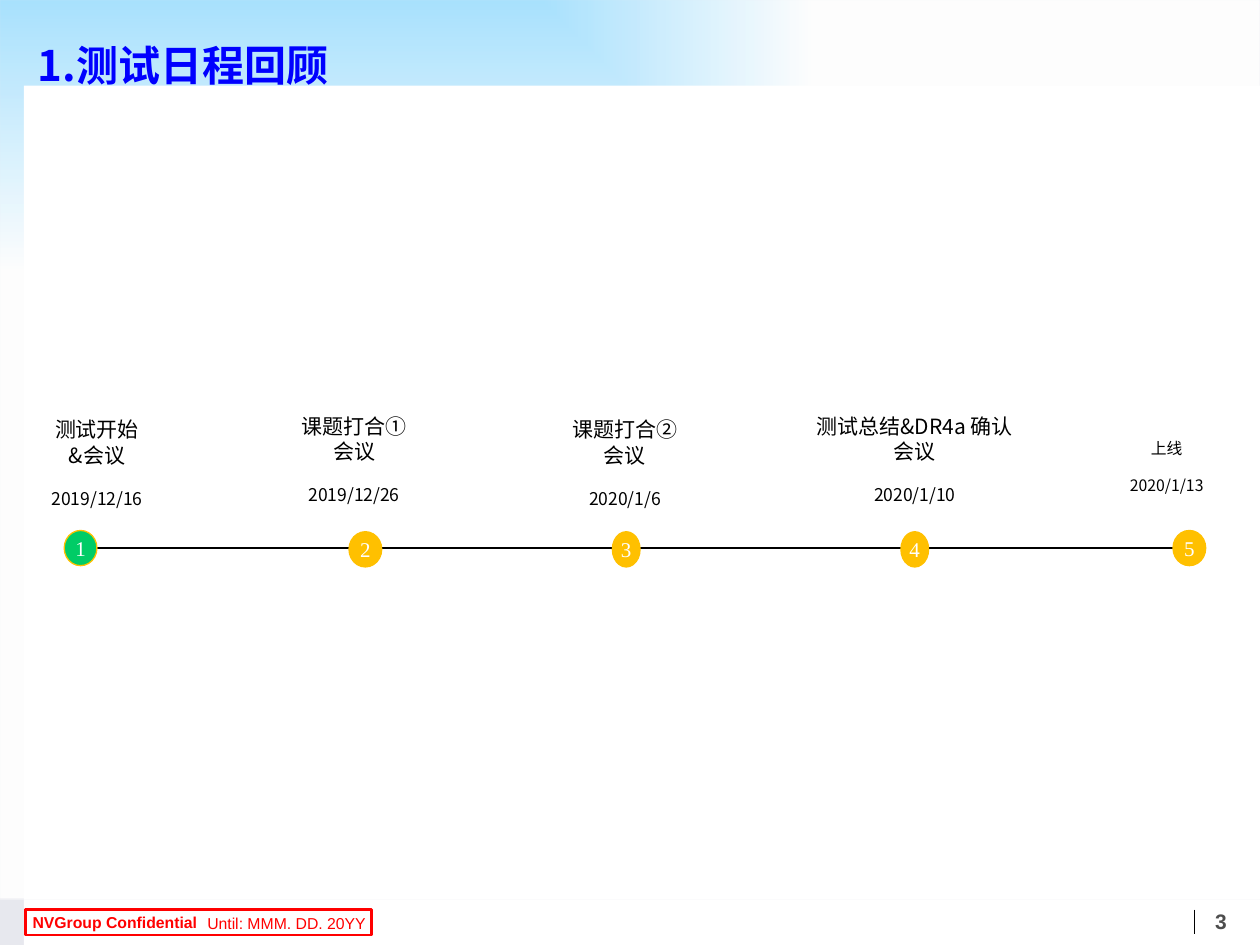
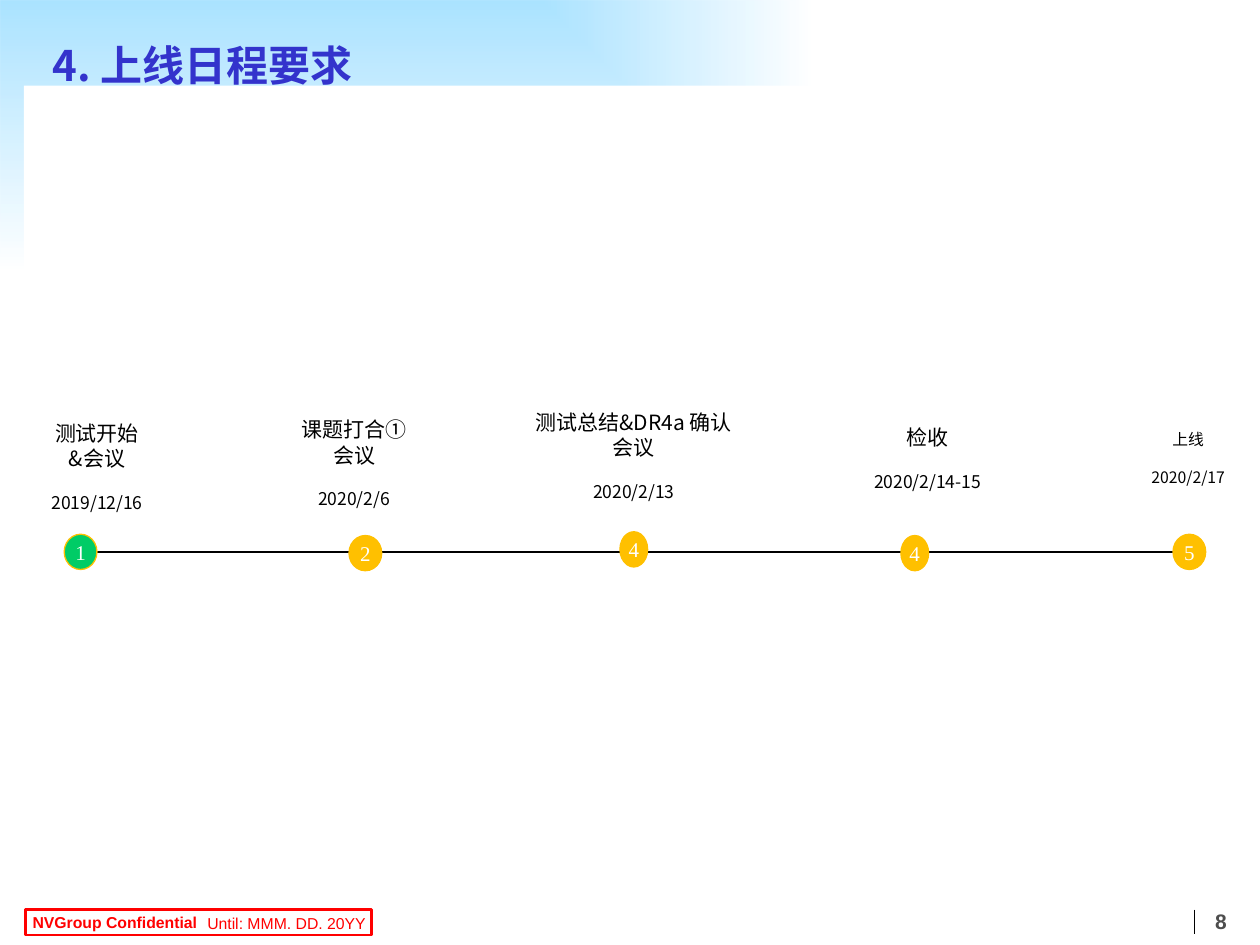
from dataclasses import dataclass

from lxml import etree
from pptx import Presentation
from pptx.dml.color import RGBColor
from pptx.enum.shapes import MSO_CONNECTOR, MSO_SHAPE
from pptx.enum.text import MSO_ANCHOR, MSO_AUTO_SIZE, PP_ALIGN
from pptx.oxml.ns import qn
from pptx.util import Inches, Pt

RECT, NODE = MSO_SHAPE.RECTANGLE, MSO_SHAPE.FLOWCHART_CONNECTOR
STRAIGHT = MSO_CONNECTOR.STRAIGHT
LEFT, CENTER, RIGHT = PP_ALIGN.LEFT, PP_ALIGN.CENTER, PP_ALIGN.RIGHT
TOP, MIDDLE = MSO_ANCHOR.TOP, MSO_ANCHOR.MIDDLE


@dataclass(frozen=True)
class Theme:
    white: str = "FFFFFF"
    black: str = "000000"
    sky: str = "66CCFF"
    red: str = "FF0000"
    grey: str = "4D4D4D"
    amber: str = "FFC000"
    green: str = "00CC66"
    cjk: str = "Noto Sans CJK SC"
    sans: str = "Arial"
    serif: str = "Times New Roman"
    title_pt: int = 24
    label_pt: int = 12
    date_pt: int = 10
    small_pt: int = 9
    leading: float = 1.2


T = Theme()

# Content: milestones are (number, node centre x, node width, node top,
#                          label centre x, label top, label lines, date)
SLIDES = [
    dict(title="1.测试日程回顾", title_x=0, title_color="0000FF", page="3",
         background="E7E8EE", line_y=4.35, milestones=[
             ("1", 0.64, 0.26, 4.21, 0.77, 3.26, ["测试开始", "&会议"], "2019/12/16"),
             ("2", 2.90, 0.26, 4.22, 2.81, 3.23, ["课题打合①", "会议"], "2019/12/26"),
             ("3", 4.97, 0.22, 4.22, 4.96, 3.26, ["课题打合②", "会议"], "2020/1/6"),
             ("4", 7.26, 0.22, 4.22, 7.26, 3.23, ["测试总结&DR4a 确认", "会议"], "2020/1/10"),
             ("5", 9.44, 0.26, 4.21, 9.26, 3.43, ["上线"], "2020/1/13")]),
    dict(title="4. 上线日程要求", title_x=0.12, title_color="3333CC", page="8",
         background="FFFFFF", line_y=4.38, milestones=[
             ("1", 0.64, 0.26, 4.24, 0.77, 3.29, ["测试开始", "&会议"], "2019/12/16"),
             ("2", 2.90, 0.26, 4.25, 2.81, 3.26, ["课题打合①", "会议"], "2020/2/6"),
             ("4", 5.03, 0.22, 4.22, 5.03, 3.20, ["测试总结&DR4a 确认", "会议"], "2020/2/13"),
             ("4", 7.26, 0.22, 4.25, 7.36, 3.32, ["检收"], "2020/2/14-15"),
             ("5", 9.44, 0.26, 4.24, 9.43, 3.36, ["上线"], "2020/2/17")]),
]
BANDS = [(0, 0, 10, 7.14), (0.19, 0.68, 9.81, 6.46), (0.19, 7.14, 9.81, 0.36)]
FOOTER = [("Until: MMM. DD. 20YY", (1.31, 7.2, 1.69, 0.25), RIGHT, False),
          ("NVGroup Confidential", (0.16, 7.19, 1.68, 0.25), LEFT, True)]
NODE_H, LABEL_W, LABEL_H = 0.28, 2.88, 0.84


def rgb(value):
    return RGBColor.from_string(value)


def style(p, size, color, font=T.cjk, bold=False, align=CENTER):
    p.alignment = align
    for r in p.runs:
        r.font.size, r.font.bold, r.font.name = Pt(size), bold, font
        r.font.color.rgb = rgb(color)
        if font == T.cjk:
            ea = etree.SubElement(r.font._element, qn("a:ea"))
            ea.set("typeface", font)


def add_box(slide, kind, box, fill, line=None, width=0.75):
    sp = slide.shapes.add_shape(kind, *map(Inches, box))
    sp.shadow.inherit = False
    sp.fill.solid()
    sp.fill.fore_color.rgb = rgb(fill)
    if line:
        sp.line.color.rgb, sp.line.width = rgb(line), Pt(width)
    else:
        sp.line.fill.background()
    return sp


def add_text(slide, text, box, anchor=TOP, wrap=True):
    sp = slide.shapes.add_textbox(*map(Inches, box))
    tf = sp.text_frame
    tf.text, tf.word_wrap, tf.vertical_anchor = text, wrap, anchor
    return sp


def add_line(slide, x1, y1, x2, y2, width):
    cx = slide.shapes.add_connector(STRAIGHT, *map(Inches, (x1, y1, x2, y2)))
    cx.line.color.rgb, cx.line.width = rgb(T.black), Pt(width)
    etree.SubElement(cx._element.spPr, qn("a:effectLst"))
    return cx


def set_corner_gradient(sp):
    """Rectangular gradient from the top left corner, slightly transparent."""
    spPr = sp._element.spPr
    old = spPr.find(qn("a:solidFill"))
    grad = etree.Element(qn("a:gradFill"), rotWithShape="1")
    stops = etree.SubElement(grad, qn("a:gsLst"))
    for pos, color in (("0", T.sky), ("100000", T.white)):
        gs = etree.SubElement(stops, qn("a:gs"), pos=pos)
        clr = etree.SubElement(gs, qn("a:srgbClr"), val=color)
        etree.SubElement(clr, qn("a:alpha"), val="92000")
    shade = etree.SubElement(grad, qn("a:path"))
    shade.set("path", "rect")
    etree.SubElement(shade, qn("a:fillToRect"), r="100000", b="100000")
    spPr.replace(old, grad)


def build_layout(layout, slide):
    """Draw the shared bands and footer, then move them to the layout."""
    parts = [add_box(slide, RECT, box, T.white) for box in BANDS]
    set_corner_gradient(parts[0])
    parts.append(add_line(slide, 9.48, 7.22, 9.48, 7.41, 0.5))
    parts.append(add_box(slide, RECT, (0.2, 7.22, 2.75, 0.2), T.white, T.red, 1.5))
    for text, box, align, bold in FOOTER:
        sp = add_text(slide, text, box, MIDDLE)
        style(sp.text_frame.paragraphs[0], T.small_pt, T.red, T.sans, bold, align)
        parts.append(sp)
    for sp in list(layout.placeholders):
        if sp.placeholder_format.idx:
            sp.element.getparent().remove(sp.element)
    for sp in parts:
        layout.shapes.element.append(sp.element)


def set_title(slide, text, x, color):
    sp = slide.shapes.title
    sp.left, sp.top, sp.width, sp.height = map(Inches, (x, 0.09, 9.09, 0.64))
    tf = sp.text_frame
    tf.text, tf.vertical_anchor, tf.auto_size = text, MIDDLE, MSO_AUTO_SIZE.NONE
    p = tf.paragraphs[0]
    style(p, T.title_pt, color, bold=True, align=LEFT)
    p.line_spacing = Pt(T.title_pt * T.leading * 1.5)
    pPr = p._p.get_or_add_pPr()
    pPr.set("marL", str(Inches(0.76)))
    pPr.set("indent", str(Inches(-0.56)))


def add_milestone(slide, number, x, width, top, label_x, label_top, lines, date, last):
    # Numbered node
    fill = T.green if number == "1" else T.amber
    sp = add_box(slide, NODE, (x - width / 2, top, width, NODE_H), fill, T.amber)
    tf = sp.text_frame
    tf.text, tf.word_wrap, tf.vertical_anchor = number, False, MIDDLE
    style(tf.paragraphs[0], T.label_pt, T.white, T.serif)

    # Label with its date; the last milestone is set smaller
    w = 0.83 if last else LABEL_W
    box = (label_x - w / 2, label_top, w, LABEL_H)
    sp = add_text(slide, "\n".join(lines + [date]), box, wrap=not last)
    *names, day = sp.text_frame.paragraphs
    name_pt, date_pt = (T.small_pt,) * 2 if last else (T.label_pt, T.date_pt)
    for p, size in [(p, name_pt) for p in names] + [(day, date_pt)]:
        style(p, size, T.black)
        p.line_spacing = Pt(size * T.leading)
    day.space_before = Pt(date_pt * T.leading)


def build_slide(slide, data):
    bg = slide.background.fill
    bg.solid()
    bg.fore_color.rgb = rgb(data["background"])
    set_title(slide, data["title"], data["title_x"], data["title_color"])
    sp = add_text(slide, data["page"], (9.41, 7.16, 0.56, 0.24))
    style(sp.text_frame.paragraphs[0], T.label_pt, T.grey, T.sans, True)
    add_line(slide, 0.67, data["line_y"], 9.54, data["line_y"], 0.75)
    for item in data["milestones"]:
        add_milestone(slide, *item, last=item is data["milestones"][-1])


def main():
    prs = Presentation()
    prs.slide_width, prs.slide_height = Inches(10), Inches(7.5)
    layout = prs.slide_layouts[5]
    slides = [prs.slides.add_slide(layout) for _ in SLIDES]
    build_layout(layout, slides[0])
    for slide, data in zip(slides, SLIDES):
        build_slide(slide, data)
    prs.save("out.pptx")


if __name__ == "__main__":
    main()
